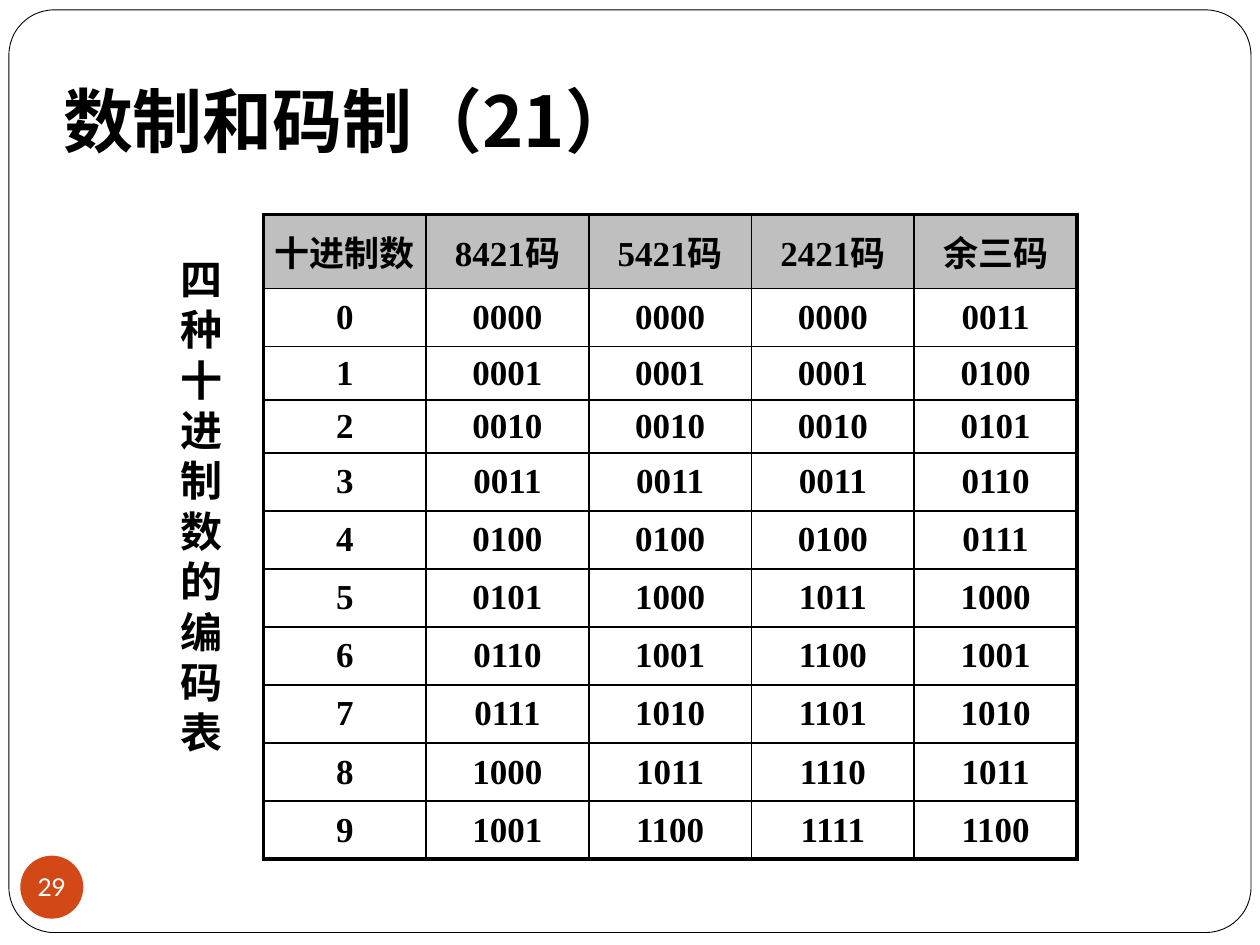
from collections.abc import Callable
from dataclasses import dataclass

from lxml import etree
from pptx import Presentation
from pptx.dml.color import RGBColor
from pptx.enum.shapes import MSO_SHAPE
from pptx.enum.text import MSO_ANCHOR, PP_ALIGN
from pptx.oxml.ns import qn
from pptx.util import Cm, Pt

ROUNDED, ELLIPSE = MSO_SHAPE.ROUNDED_RECTANGLE, MSO_SHAPE.OVAL
MIDDLE, BOTTOM = MSO_ANCHOR.MIDDLE, MSO_ANCHOR.BOTTOM
LEFT, CENTER = PP_ALIGN.LEFT, PP_ALIGN.CENTER
TITLE_ONLY_LAYOUT = 5


@dataclass(frozen=True)
class Theme:
    black: str = "000000"
    white: str = "FFFFFF"
    accent: str = "D34817"
    header: str = "BFBFBF"
    latin: str = "Times New Roman"
    chinese: str = "Noto Sans CJK JP"
    number: str = "Lato"
    title_size: float = 40
    caption_size: float = 24
    table_size: float = 20
    number_size: float = 14
    thin: float = 1
    thick: float = 2.25


@dataclass(frozen=True)
class Box:
    left: float
    top: float
    width: float
    height: float

    def lengths(self) -> tuple:
        return Cm(self.left), Cm(self.top), Cm(self.width), Cm(self.height)


@dataclass(frozen=True)
class Code:
    """A decimal code: its heading and the rule that encodes a digit."""
    heading: str
    encode: Callable[[int], str]


THEME = Theme()
FRAME = Box(0.18, 0.2, 25.04, 18.6)
TITLE = Box(1.02, 0.76, 21.59, 2.74)
NUMBER = Box(0.41, 17.25, 1.27, 1.27)
TABLE = Box(5.31, 4.32, 16.4, 13.0)
CAPTION = Box(3.38, 4.98, 1.27, 10.52)
ROW_HEIGHTS = [1.5, 1.17, 1.07, 1.07] + [1.17] * 7
CODES = [
    Code("十进制数", str),
    Code("8421码", lambda digit: f"{digit:04b}"),
    Code("5421码", lambda digit: f"{digit + (3 if digit > 4 else 0):04b}"),
    Code("2421码", lambda digit: f"{digit + (6 if digit > 4 else 0):04b}"),
    Code("余三码", lambda digit: f"{digit + 3:04b}"),
]


def color(value: str) -> RGBColor:
    return RGBColor.from_string(value)


def write(text_frame, text: str, size: float, font: str, ink: str = THEME.black,
          bold: bool = True, align=LEFT):
    """Write one formatted paragraph and return it."""
    text_frame.text = text
    paragraph = text_frame.paragraphs[0]
    paragraph.alignment = align
    run = paragraph.runs[0]
    run.font.size, run.font.bold, run.font.name = Pt(size), bold, font
    run.font.color.rgb = color(ink)
    east_asian = etree.SubElement(run.font._element, qn("a:ea"))
    east_asian.set("typeface", THEME.chinese)
    return paragraph


def set_margins(target, left: float, top: float, right: float, bottom: float) -> None:
    target.margin_left, target.margin_top = Cm(left), Cm(top)
    target.margin_right, target.margin_bottom = Cm(right), Cm(bottom)


def add_filled_shape(slide, kind, box: Box, fill: str):
    shape = slide.shapes.add_shape(kind, *box.lengths())
    shape.shadow.inherit = False
    shape.fill.solid()
    shape.fill.fore_color.rgb = color(fill)
    shape.line.fill.background()
    return shape


def set_border(cell, side: str, width: float) -> None:
    properties = cell._tc.get_or_add_tcPr()
    line = etree.SubElement(properties, qn(f"a:ln{side}"), w=str(int(Pt(width))))
    fill = etree.SubElement(line, qn("a:solidFill"))
    etree.SubElement(fill, qn("a:srgbClr"), val=THEME.black)


def add_code_table(slide) -> None:
    rows = [[code.heading for code in CODES]]
    rows += [[code.encode(digit) for code in CODES] for digit in range(10)]
    table = slide.shapes.add_table(len(rows), len(CODES), *TABLE.lengths()).table
    table.horz_banding = False
    for column in table.columns:
        column.width = Cm(TABLE.width / len(CODES))
    for row, height in zip(table.rows, ROW_HEIGHTS):
        row.height = Cm(height)

    for i, values in enumerate(rows):
        for j, value in enumerate(values):
            cell = table.cell(i, j)
            set_margins(cell, 0.18, 0, 0.18, 0)
            cell.vertical_anchor = MIDDLE
            paragraph = write(cell.text_frame, value, THEME.table_size, THEME.latin,
                              align=CENTER)
            paragraph.space_before = Pt(0.2 * THEME.table_size)
            # Thick lines run only along the outside of the table
            outside = {"L": j == 0, "R": j == len(CODES) - 1,
                       "T": i == 0, "B": i == len(rows) - 1}
            for side, is_outer in outside.items():
                set_border(cell, side, THEME.thick if is_outer else THEME.thin)
            if i == 0:
                cell.fill.solid()
                cell.fill.fore_color.rgb = color(THEME.header)
            else:
                cell.fill.background()


def main() -> None:
    presentation = Presentation()
    presentation.slide_width, presentation.slide_height = Cm(25.4), Cm(19.05)
    slide = presentation.slides.add_slide(presentation.slide_layouts[TITLE_ONLY_LAYOUT])

    # Rounded frame, sent behind the title
    frame = add_filled_shape(slide, ROUNDED, FRAME, THEME.white)
    frame.adjustments[0] = 0.049
    frame.line.color.rgb = color(THEME.black)
    frame.line.width = Pt(0.5)
    title = slide.shapes.title
    frame._element.addnext(title._element)

    # Title
    title.left, title.top, title.width, title.height = TITLE.lengths()
    set_margins(title.text_frame, 0.25, 0.13, 0.25, 0.25)
    title.text_frame.vertical_anchor = BOTTOM
    write(title.text_frame, "数制和码制（21）", THEME.title_size, THEME.chinese)

    # Slide number
    number = add_filled_shape(slide, ELLIPSE, NUMBER, THEME.accent)
    set_margins(number.text_frame, 0, 0, 0, 0)
    number.text_frame.word_wrap = False
    number.text_frame.vertical_anchor = MIDDLE
    write(number.text_frame, "29", THEME.number_size, THEME.number, THEME.white,
          bold=False, align=CENTER)

    # Code table
    add_code_table(slide)

    # Caption, narrow enough to stack one character per line
    caption = slide.shapes.add_textbox(*CAPTION.lengths())
    caption.text_frame.word_wrap = True
    paragraph = write(caption.text_frame, "四种十进制数的编码表", THEME.caption_size,
                      THEME.latin)
    paragraph.line_spacing = Pt(1.2 * THEME.caption_size)

    presentation.save("out.pptx")


if __name__ == "__main__":
    main()
